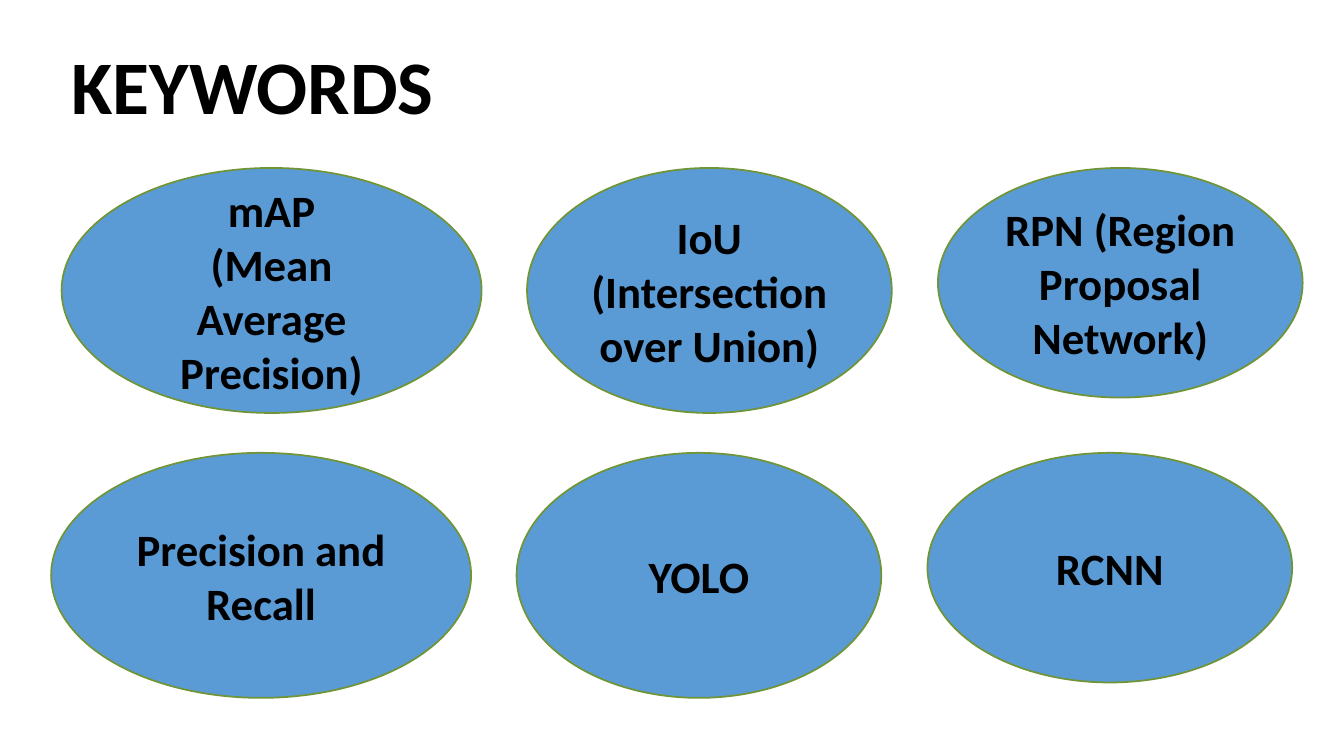
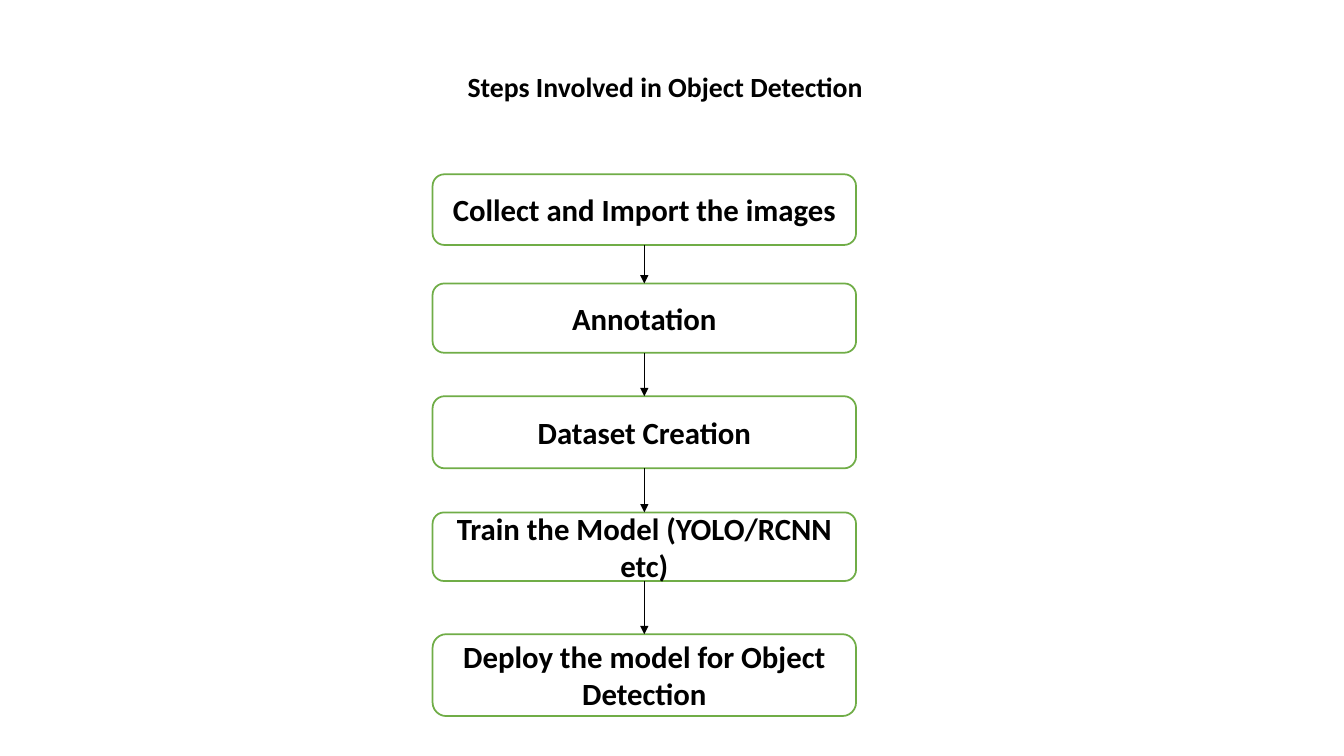
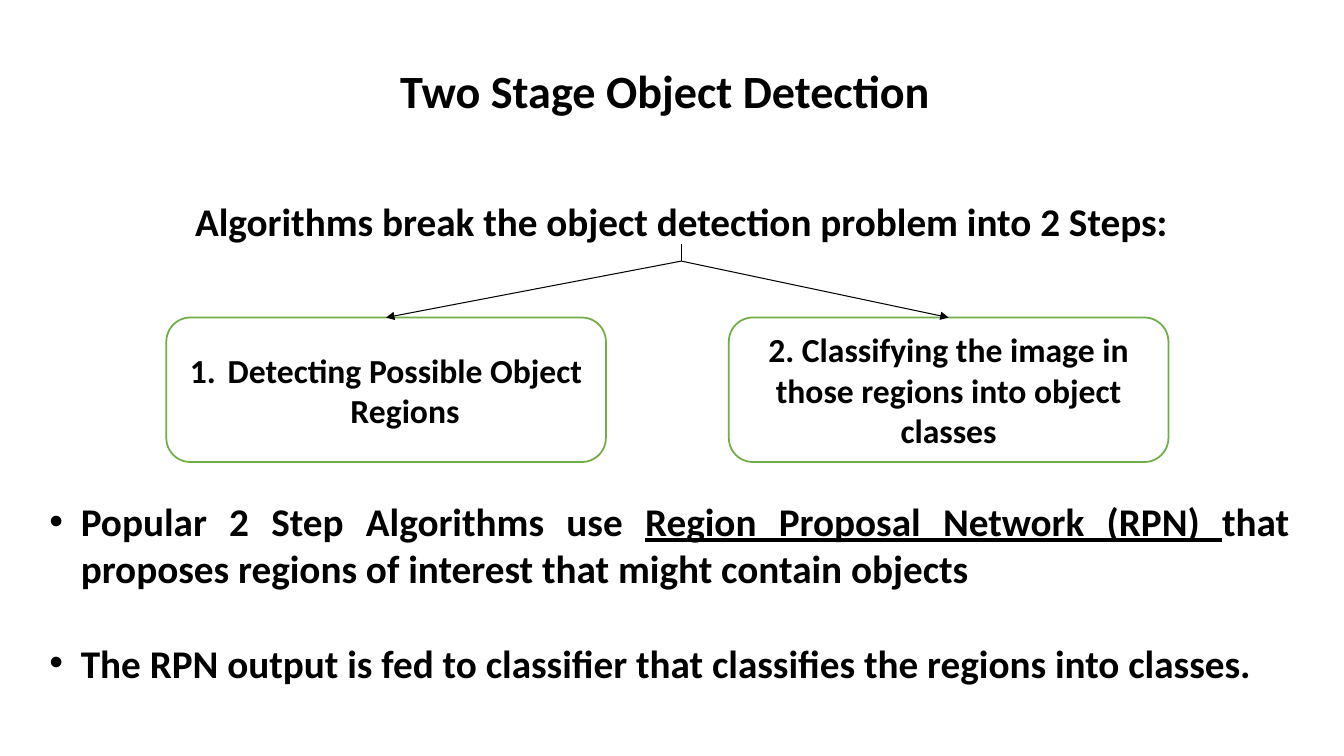
from dataclasses import dataclass

from lxml import etree
from pptx import Presentation
from pptx.dml.color import RGBColor
from pptx.enum.shapes import MSO_CONNECTOR, MSO_SHAPE
from pptx.enum.text import MSO_ANCHOR, MSO_AUTO_SIZE, PP_ALIGN
from pptx.oxml.ns import qn
from pptx.util import Pt

STRAIGHT = MSO_CONNECTOR.STRAIGHT
ELLIPSE, ROUNDED = MSO_SHAPE.OVAL, MSO_SHAPE.ROUNDED_RECTANGLE
TOP, MIDDLE = MSO_ANCHOR.TOP, MSO_ANCHOR.MIDDLE
NO_FIT = MSO_AUTO_SIZE.NONE
LEFT, CENTER, JUSTIFY = PP_ALIGN.LEFT, PP_ALIGN.CENTER, PP_ALIGN.JUSTIFY
TOP_SIDE, BOTTOM_SIDE = 0, 2
TITLE_AND_CONTENT, TITLE_ONLY = 1, 5


@dataclass(frozen=True)
class Theme:
    font: str = "Calibri"
    ink: RGBColor = RGBColor(0, 0, 0)
    paper: RGBColor = RGBColor(255, 255, 255)
    bubble: RGBColor = RGBColor.from_string("5B9BD5")
    bubble_edge: RGBColor = RGBColor.from_string("709537")
    box_edge: RGBColor = RGBColor.from_string("70AD47")
    edge_width: float = 1.25
    arrow_width: float = 0.75
    heading_size: float = 54
    steps_title_size: float = 19.8
    stages_title_size: float = 33
    bubble_size: float = 32
    step_size: float = 22
    stage_size: float = 24
    body_size: float = 28


THEME = Theme()


@dataclass(frozen=True)
class Box:
    left: float
    top: float
    width: float
    height: float

    def lengths(self):
        return [Pt(value) for value in (self.left, self.top, self.width, self.height)]


def write(shape, text, size, align=CENTER, anchor=MIDDLE, line_spacing=None,
          gap=0, after=0, bullet=None, indent=0):
    """Lines become paragraphs; text between underscores is underlined."""
    frame = shape.text_frame
    frame.word_wrap = True
    frame.auto_size = NO_FIT
    frame.vertical_anchor = anchor
    for index, line in enumerate(text.split("\n")):
        para = frame.add_paragraph() if index else frame.paragraphs[0]
        para.alignment = align
        para.space_before = Pt(gap if index else 0)
        para.space_after = Pt(after)
        if line_spacing:
            para.line_spacing = line_spacing
        if bullet:
            add_bullet(para, indent, *bullet)
        for part, words in enumerate(line.split("_")):
            span = para.add_run()
            span.text = words
            span.font.name = THEME.font
            span.font.size = Pt(size)
            span.font.bold = True
            span.font.underline = part % 2 == 1
            span.font.color.rgb = THEME.ink


def add_bullet(para, indent, tag, attribute, value):
    properties = para._p.get_or_add_pPr()
    properties.set("marL", str(Pt(indent)))
    properties.set("indent", str(-Pt(indent)))
    etree.SubElement(properties, qn(tag)).set(attribute, value)


def place(shape, box):
    shape.left, shape.top, shape.width, shape.height = box.lengths()


def add_page(deck, layout, title, box, size, align=CENTER):
    page = deck.slides.add_slide(deck.slide_layouts[layout])
    place(page.shapes.title, box)
    write(page.shapes.title, title, size, align=align, line_spacing=0.9)
    return page


def add_panel(page, kind, box, text, size, fill, edge):
    panel = page.shapes.add_shape(kind, *box.lengths())
    panel.shadow.inherit = False
    panel.fill.solid()
    panel.fill.fore_color.rgb = fill
    panel.line.color.rgb = edge
    panel.line.width = Pt(THEME.edge_width)
    write(panel, text, size)
    return panel


def add_rounded(page, box, text, size):
    return add_panel(page, ROUNDED, box, text, size, THEME.paper, THEME.box_edge)


def add_line(page, start=(0, 0), end=(0, 0)):
    line = page.shapes.add_connector(STRAIGHT, *[Pt(value) for value in start + end])
    line.line.color.rgb = THEME.ink
    line.line.width = Pt(THEME.arrow_width)
    etree.SubElement(line._element.spPr, qn("a:effectLst"))
    return line


def add_arrow(page, source, target):
    arrow = add_line(page)
    arrow.begin_connect(source, BOTTOM_SIDE)
    arrow.end_connect(target, TOP_SIDE)
    etree.SubElement(arrow.line._get_or_add_ln(), qn("a:tailEnd")).set("type", "triangle")


def add_bubble_row(page, left, top, texts):
    columns = ((0, 300, 175), (332.5, 260.5, 175), (626, 260.5, 164))
    for text, (offset, width, height) in zip(texts, columns):
        add_panel(page, ELLIPSE, Box(left + offset, top, width, height), text,
                  THEME.bubble_size, THEME.bubble, THEME.bubble_edge)


def add_flow(page, left, top, width, steps):
    previous = None
    for text, offset, height in steps:
        step = add_rounded(page, Box(left, top + offset, width, height), text, THEME.step_size)
        if previous:
            add_arrow(page, previous, step)
        previous = step


def add_fork(page, box, lead_text, first_text, second_text):
    lead_height, stem, stage_top, stage_height, stage_width, gap = 55.5, 12, 95.8, 103.2, 314, 87.8
    lead = page.shapes.add_textbox(*Box(box.left, box.top, box.width, lead_height).lengths())
    write(lead, lead_text, THEME.body_size, anchor=TOP, line_spacing=1.2, after=16)
    middle, joint = box.left + box.width / 2, box.top + lead_height
    add_line(page, (middle, joint - stem), (middle, joint))
    first_left = box.left + 73.4
    for index, text in enumerate((first_text, second_text)):
        stage_box = Box(first_left + index * (stage_width + gap), box.top + stage_top,
                        stage_width, stage_height)
        stage = add_rounded(page, stage_box, "" if index == 0 else text, THEME.stage_size)
        if index == 0:
            write(stage, text, THEME.stage_size, indent=27,
                  bullet=("a:buAutoNum", "type", "arabicPeriod"))
        add_arrow(page, lead, stage)


def keywords_page(deck):
    page = add_page(deck, TITLE_ONLY, "KEYWORDS", Box(44, 6, 780, 116.5),
                    THEME.heading_size, align=LEFT)
    add_bubble_row(page, 44, 120, ("mAP\n(Mean Average Precision)",
                                   "IoU\n(Intersection over Union)",
                                   "RPN (Region Proposal Network)"))
    add_bubble_row(page, 36.5, 323.5, ("Precision and Recall", "YOLO", "RCNN"))


def steps_page(deck):
    page = add_page(deck, TITLE_ONLY, "Steps Involved in Object Detection",
                    Box(0, 29, 950, 68), THEME.steps_title_size)
    add_flow(page, 309, 124.5, 302.5, (
        ("Collect and Import the images", 0, 50.5),
        ("Annotation", 78, 49.5),
        ("Dataset Creation", 158.5, 51.5),
        ("Train the Model (YOLO/RCNN etc)", 241.5, 49),
        ("Deploy the model for Object Detection", 328.5, 58.5),
    ))


def stages_page(deck):
    page = add_page(deck, TITLE_AND_CONTENT, "Two Stage Object Detection",
                    Box(4, 20, 942, 93), THEME.stages_title_size)
    add_fork(page, Box(45.4, 131, 882.6, 199),
             "Algorithms break the object detection problem into 2 Steps:",
             "Detecting Possible Object Regions",
             "2. Classifying the image in those regions into object classes")
    body = page.placeholders[1]
    place(body, Box(28, 351.5, 900, 180))
    write(body, "Popular 2 Step Algorithms use _Region Proposal Network (RPN) _that proposes "
                "regions of interest that might contain objects\n"
                "The RPN output is fed to classifier that classifies the regions into classes.",
          THEME.body_size, align=JUSTIFY, anchor=TOP, gap=34, indent=22.5,
          bullet=("a:buChar", "char", "•"))


def main():
    deck = Presentation()
    deck.slide_width, deck.slide_height = Pt(960), Pt(540)
    keywords_page(deck)
    steps_page(deck)
    stages_page(deck)
    deck.save("out.pptx")


if __name__ == "__main__":
    main()
